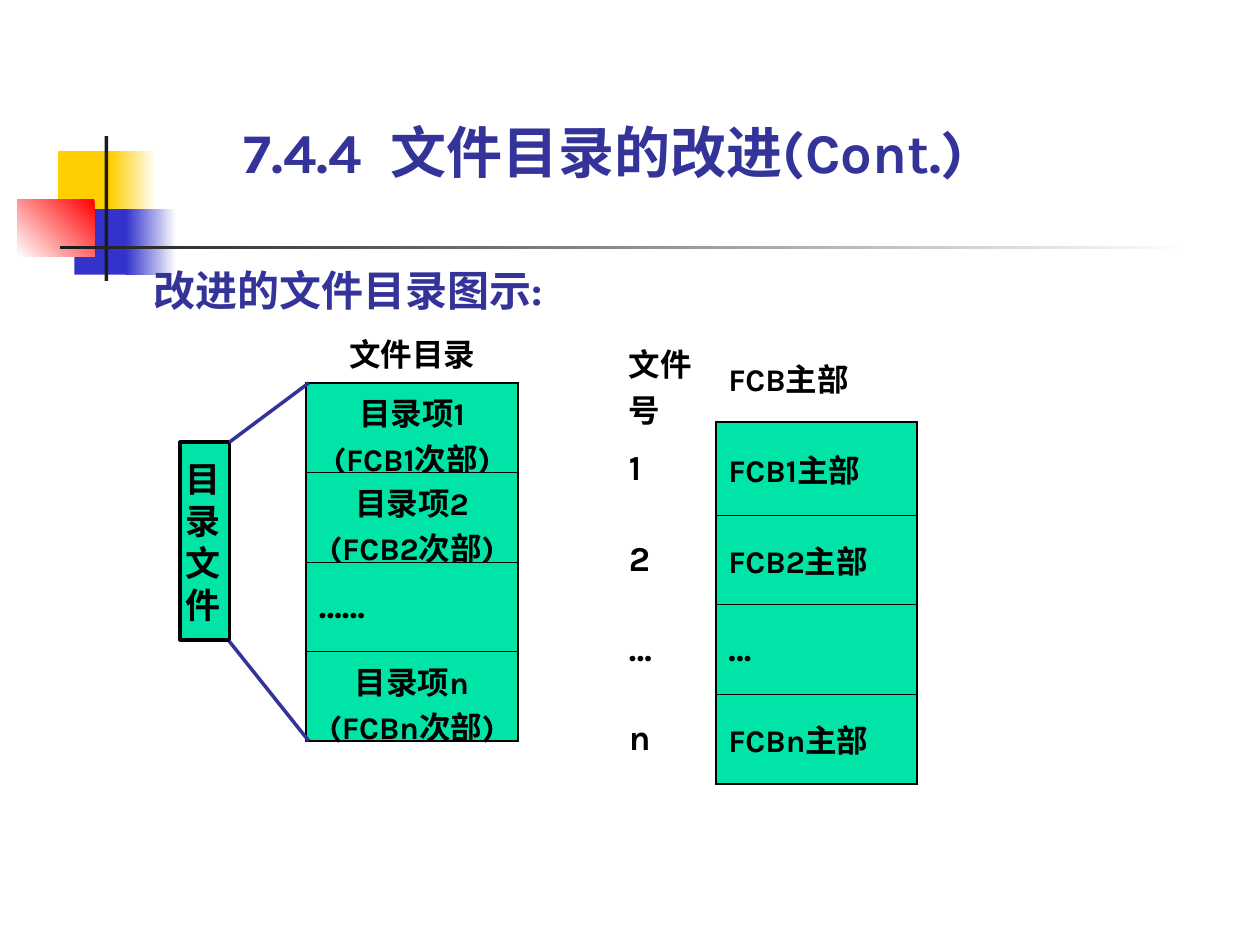
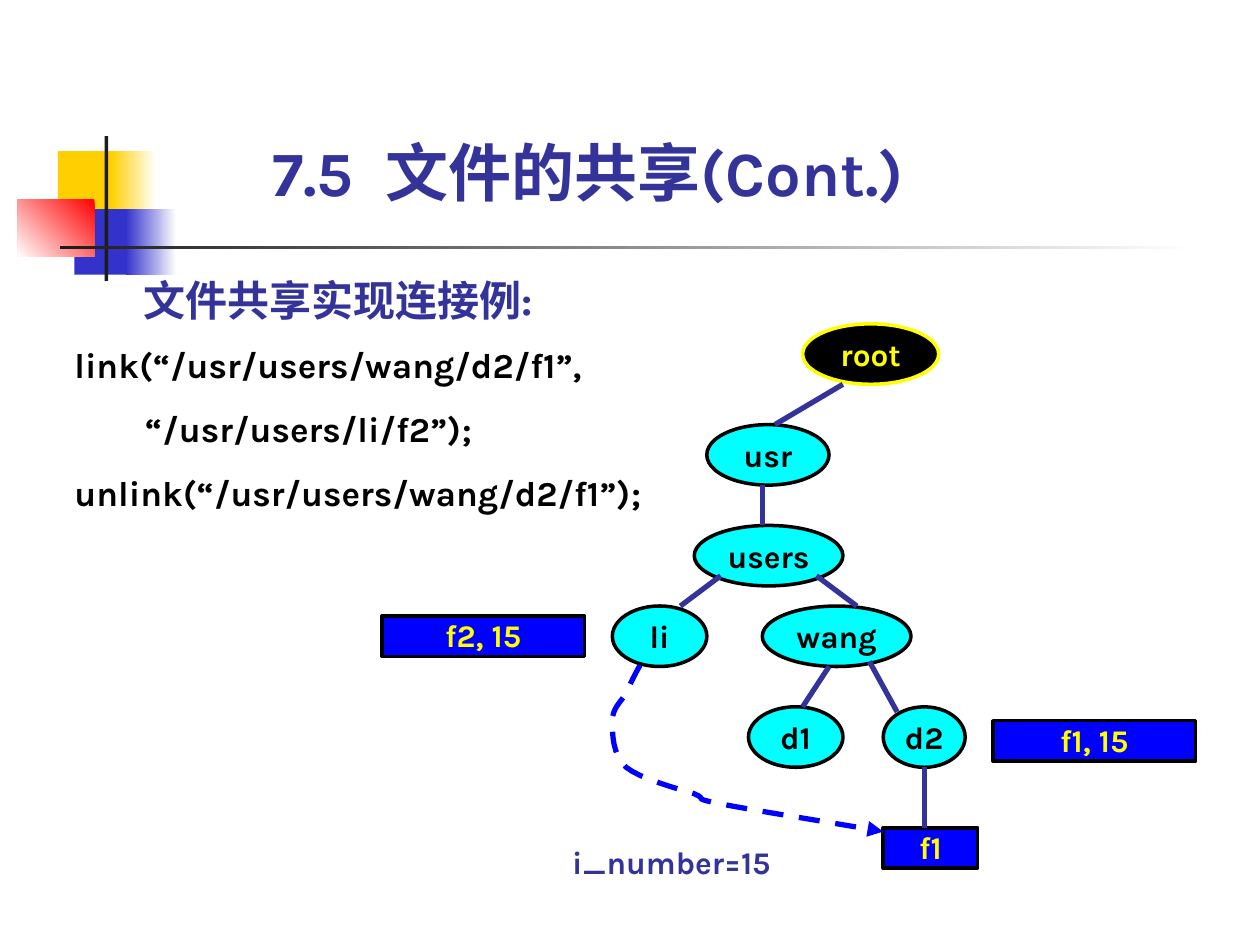
import lxml.etree
import pptx
import pptx.dml.color
import pptx.enum.dml
import pptx.enum.shapes
import pptx.enum.text
import pptx.oxml.ns
import pptx.util

Inches = pptx.util.Inches
Pt = pptx.util.Pt
qn = pptx.oxml.ns.qn
SHAPE = pptx.enum.shapes.MSO_SHAPE
ALIGN = pptx.enum.text.PP_ALIGN
ANCHOR = pptx.enum.text.MSO_ANCHOR
AUTO = pptx.enum.text.MSO_AUTO_SIZE

FONT = "Karla"
COLORS = {
    "white": "FFFFFF",
    "black": "000000",
    "ink": "1C1C1C",
    "indigo": "333399",
    "violet": "3333CC",
    "gold": "FFCF01",
    "red": "FF0000",
    "mint": "00E4A8",
    "cyan": "00FFFF",
    "blue": "0000FF",
    "yellow": "FFFF00",
}
THICK, THIN = 1.08, 0.45


def rgb(name):
    return pptx.dml.color.RGBColor.from_string(COLORS[name])


def write(tf, lines, size, color="black", align=ALIGN.LEFT, before=0, spacing=None):
    for i, line in enumerate(lines):
        p = tf.paragraphs[0] if i == 0 else tf.add_paragraph()
        p.alignment = align
        if i and before:
            p.space_before = Pt(before)
        if spacing:
            p.line_spacing = spacing
        r = p.add_run()
        r.text = line
        r.font.name = FONT
        r.font.size = Pt(size)
        r.font.bold = True
        r.font.color.rgb = rgb(color)


def frame(tf, anchor=ANCHOR.TOP, insets=(0, 0, 0, 0), wrap=True, auto=AUTO.NONE):
    tf.auto_size = auto
    tf.word_wrap = wrap
    tf.vertical_anchor = anchor
    tf.margin_left, tf.margin_top, tf.margin_right, tf.margin_bottom = map(Inches, insets)


def add_label(s, box, lines, size, color="black", anchor=ANCHOR.TOP, before=0):
    tf = s.shapes.add_textbox(*map(Inches, box)).text_frame
    frame(tf, anchor, auto=AUTO.SHAPE_TO_FIT_TEXT)
    write(tf, lines, size, color, before=before)


def add_block(s, kind, box, fill, line=None):
    sp = s.shapes.add_shape(kind, *map(Inches, box))
    sp.shadow.inherit = False
    sp.fill.solid()
    sp.fill.fore_color.rgb = rgb(fill)
    if line:
        sp.line.color.rgb = rgb(line)
        sp.line.width = Pt(2)
    else:
        sp.line.fill.background()
    return sp


def add_line(s, x1, y1, x2, y2, width):
    c = s.shapes.add_connector(pptx.enum.shapes.MSO_CONNECTOR.STRAIGHT,
                               *map(Inches, (x1, y1, x2, y2)))
    c.line.color.rgb = rgb("indigo")
    c.line.width = Pt(width)
    lxml.etree.SubElement(c.element.spPr, qn("a:effectLst"))


def add_emblem(s, layout, left, top):
    parts = [
        (0.32, 0.12, 0.48, 0.52, "gold", None, 0),
        (0.74, 0.12, 0.36, 0.52, "white", "gold", 180),
        (0.45, 0.58, 0.46, 0.52, "violet", None, 0),
        (0.86, 0.58, 0.4, 0.52, "white", "violet", 180),
        (0, 0.5, 0.61, 0.46, "red", "white", 225),
        (0.69, 0, 0.03, 1.15, "ink", None, 0),
        (0.34, 0.87, 9, 0.03, "white", "ink", 180),
    ]
    for i, (x, y, w, h, start, end, angle) in enumerate(parts):
        sp = add_block(s, SHAPE.RECTANGLE, (left + x, top + y, w, h), start)
        if end:
            sp.fill.gradient()
            sp.fill.gradient_angle = angle
            for stop, color in zip(sp.fill.gradient_stops, (start, end)):
                stop.color.rgb = rgb(color)
        sp.element.nvSpPr.cNvPr.set("id", str(100 + i))
        layout.shapes.element.insert(2 + i, sp.element)


def set_title(s, box, text, size):
    sp = s.shapes.title
    sp.left, sp.top, sp.width, sp.height = map(Inches, box)
    frame(sp.text_frame, ANCHOR.BOTTOM, auto=AUTO.SHAPE_TO_FIT_TEXT)
    write(sp.text_frame, [text], size, "indigo", spacing=0.9)


def add_grid(s, left, top, cols, rows):
    sp = s.shapes.add_table(len(rows), len(cols), Inches(left), Inches(top),
                            Inches(sum(cols)), Inches(sum(rows)))
    table = sp.table
    table.first_row = table.horz_banding = False
    for col, width in zip(table.columns, cols):
        col.width = Inches(width)
    for row, height in zip(table.rows, rows):
        row.height = Inches(height)
    return table


def fill_cell(cell, lines, size=18, align=ALIGN.LEFT, fill=None, **borders):
    tcPr = cell._tc.get_or_add_tcPr()
    for side in "LRTB":
        width = borders.get(side)
        ln = lxml.etree.SubElement(tcPr, qn("a:ln" + side))
        if width:
            ln.set("w", str(int(Pt(width))))
            solid = lxml.etree.SubElement(ln, qn("a:solidFill"))
            lxml.etree.SubElement(solid, qn("a:srgbClr")).set("val", COLORS["black"])
        else:
            lxml.etree.SubElement(ln, qn("a:noFill"))
    if fill:
        cell.fill.solid()
        cell.fill.fore_color.rgb = rgb(fill)
    else:
        cell.fill.background()
    cell.vertical_anchor = ANCHOR.MIDDLE
    write(cell.text_frame, lines, size, align=align)


def fill_stack(cells, entries):
    last = len(entries) - 1
    for i, (cell, (lines, size, align)) in enumerate(zip(cells, entries)):
        fill_cell(cell, lines, size, align, "mint", L=THICK, R=THICK,
                  T=THIN if i else THICK, B=THICK if i == last else THIN)


def add_directory(s, left, top):
    add_label(s, (left + 1.34, top, 1.02, 0.3), ["文件目录"], 18)
    table = add_grid(s, left + 1, top + 0.38, [1.68], [0.71] * 4)
    fill_stack([row.cells[0] for row in table.rows], [
        (["目录项1", "(FCB1次部)"], 18, ALIGN.CENTER),
        (["目录项2 (FCB2次部)"], 18, ALIGN.CENTER),
        (["……"], 20, ALIGN.LEFT),
        (["目录项n (FCBn次部)"], 18, ALIGN.CENTER),
    ])
    sp = add_block(s, SHAPE.RECTANGLE, (left, top + 0.85, 0.39, 1.57), "mint", "black")
    frame(sp.text_frame, insets=(0.04, 0.12, 0.12, 0.12), auto=AUTO.SHAPE_TO_FIT_TEXT)
    write(sp.text_frame, ["目录文件"], 20, align=ALIGN.CENTER)
    for start, end in ((0.85, 0.38), (2.43, 3.22)):
        add_line(s, left + 0.39, top + start, left + 1.02, top + end, 2)


def add_fcb_table(s, left, top):
    table = add_grid(s, left, top, [0.79, 1.6], [0.36, 0.74, 0.71, 0.71, 0.71])
    fill_cell(table.cell(0, 0), ["文件号"])
    fill_cell(table.cell(0, 1), ["FCB主部"], B=THICK)
    numbers = ["1", "2", "…", "n"]
    for i, number in enumerate(numbers, 1):
        fill_cell(table.cell(i, 0), [number], 20, R=THICK)
    fill_stack([table.cell(i, 1) for i in range(1, 5)], [
        (["…"], 20, ALIGN.LEFT) if n == "…" else ([f"FCB{n}主部"], 18, ALIGN.LEFT)
        for n in numbers
    ])


def add_link_curve(s, left, top):
    x, y = 0.22, 2.71
    curves = [
        (0.18, 2.78, 0.14, 2.86, 0.11, 2.93),
        (0.07, 3, 0, 3.05, 0, 3.15),
        (0, 3.25, 0, 3.42, 0.11, 3.52),
        (0.22, 3.61, 0.52, 3.69, 0.65, 3.73),
        (0.77, 3.78, 0.61, 3.76, 0.86, 3.81),
        (1.11, 3.86, 1.63, 3.94, 2.15, 4.03),
    ]
    steps = 8
    builder = s.shapes.build_freeform(Inches(left + x), Inches(top + y))
    points = []
    for x1, y1, x2, y2, x3, y3 in curves:
        for k in range(1, steps + 1):
            t = k / steps
            u = 1 - t
            weights = (u ** 3, 3 * u * u * t, 3 * u * t * t, t ** 3)
            px = sum(w * v for w, v in zip(weights, (x, x1, x2, x3)))
            py = sum(w * v for w, v in zip(weights, (y, y1, y2, y3)))
            points.append((Inches(left + px), Inches(top + py)))
        x, y = x3, y3
    builder.add_line_segments(points, close=False)
    sp = builder.convert_to_shape()
    sp.shadow.inherit = False
    sp.fill.background()
    sp.line.color.rgb = rgb("blue")
    sp.line.width = Pt(3)
    sp.line.dash_style = pptx.enum.dml.MSO_LINE.DASH
    ln = sp.element.spPr.find(qn("a:ln"))
    lxml.etree.SubElement(ln, qn("a:tailEnd")).set("type", "triangle")


def add_file_tree(s, left, top):
    nodes = [
        ("root", 1.51, 0, 1.08),
        ("usr", 0.75, 0.8, 0.97),
        ("users", 0.65, 1.6, 1.18),
        ("wang", 1.19, 2.24, 1.18),
        ("li", 0, 2.24, 0.75),
        ("d1", 1.08, 3.04, 0.75),
        ("d2", 2.15, 3.04, 0.65),
    ]
    for name, x, y, w in nodes:
        fill, ink = ("black", "yellow") if name == "root" else ("cyan", "black")
        line = "yellow" if name == "root" else "black"
        sp = add_block(s, SHAPE.OVAL, (left + x, top + y, w, 0.48), fill, line)
        frame(sp.text_frame, ANCHOR.MIDDLE, (0.1, 0.05, 0.1, 0.05), wrap=False)
        write(sp.text_frame, [name], 18, ink, ALIGN.CENTER)

    files = [("f1", 2.15, 4, 0.75), ("f2, 15", -1.83, 2.32, 1.61), ("f1, 15", 3.02, 3.15, 1.61)]
    for name, x, y, w in files:
        sp = add_block(s, SHAPE.RECTANGLE, (left + x, top + y, w, 0.32), "blue", "black")
        frame(sp.text_frame)
        write(sp.text_frame, [name], 18, "yellow", ALIGN.CENTER)

    branches = [
        (1.83, 0.48, 1.29, 0.8),
        (1.19, 1.28, 1.19, 1.6),
        (0.86, 2, 0.54, 2.24),
        (1.62, 2, 1.94, 2.24),
        (1.72, 2.72, 1.51, 3.04),
        (2.04, 2.68, 2.26, 3.08),
        (2.48, 3.52, 2.48, 4),
    ]
    for x1, y1, x2, y2 in branches:
        add_line(s, left + x1, top + y1, left + x2, top + y2, 3)
    add_link_curve(s, left, top)
    add_label(s, (left - 0.32, top + 4.12, 2.37, 0.3), ["i_number=15"], 18, "indigo")


def build_directory_slide(s):
    add_label(s, (1.22, 2.1, 3.31, 0.4), ["改进的文件目录图示:"], 24, "indigo", ANCHOR.MIDDLE)
    add_fcb_table(s, 4.89, 2.65)
    add_directory(s, 1.43, 2.66)
    set_title(s, (1.93, 0.99, 7.32, 0.48), "7.4.4  文件目录的改进(Cont.)", 32)


def build_sharing_slide(s):
    set_title(s, (2.16, 1.13, 5.67, 0.54), "7.5  文件的共享(Cont.)", 36)
    add_label(s, (1.14, 2.18, 3.78, 0.4), ["文件共享实现连接例:"], 24, "indigo")
    add_file_tree(s, 4.86, 2.57)
    add_label(s, (0.59, 2.73, 5.12, 1.35), [
        "link(“/usr/users/wang/d2/f1”,",
        "        “/usr/users/li/f2”);",
        "unlink(“/usr/users/wang/d2/f1”);",
    ], 20, before=12.5)


def main():
    prs = pptx.Presentation()
    prs.slide_width, prs.slide_height = Inches(10), Inches(7.5)
    layout = prs.slide_layouts[5]
    s = prs.slides.add_slide(layout)
    add_emblem(s, layout, 0.14, 1.08)
    build_directory_slide(s)
    build_sharing_slide(prs.slides.add_slide(layout))
    prs.save("out.pptx")


if __name__ == "__main__":
    main()
